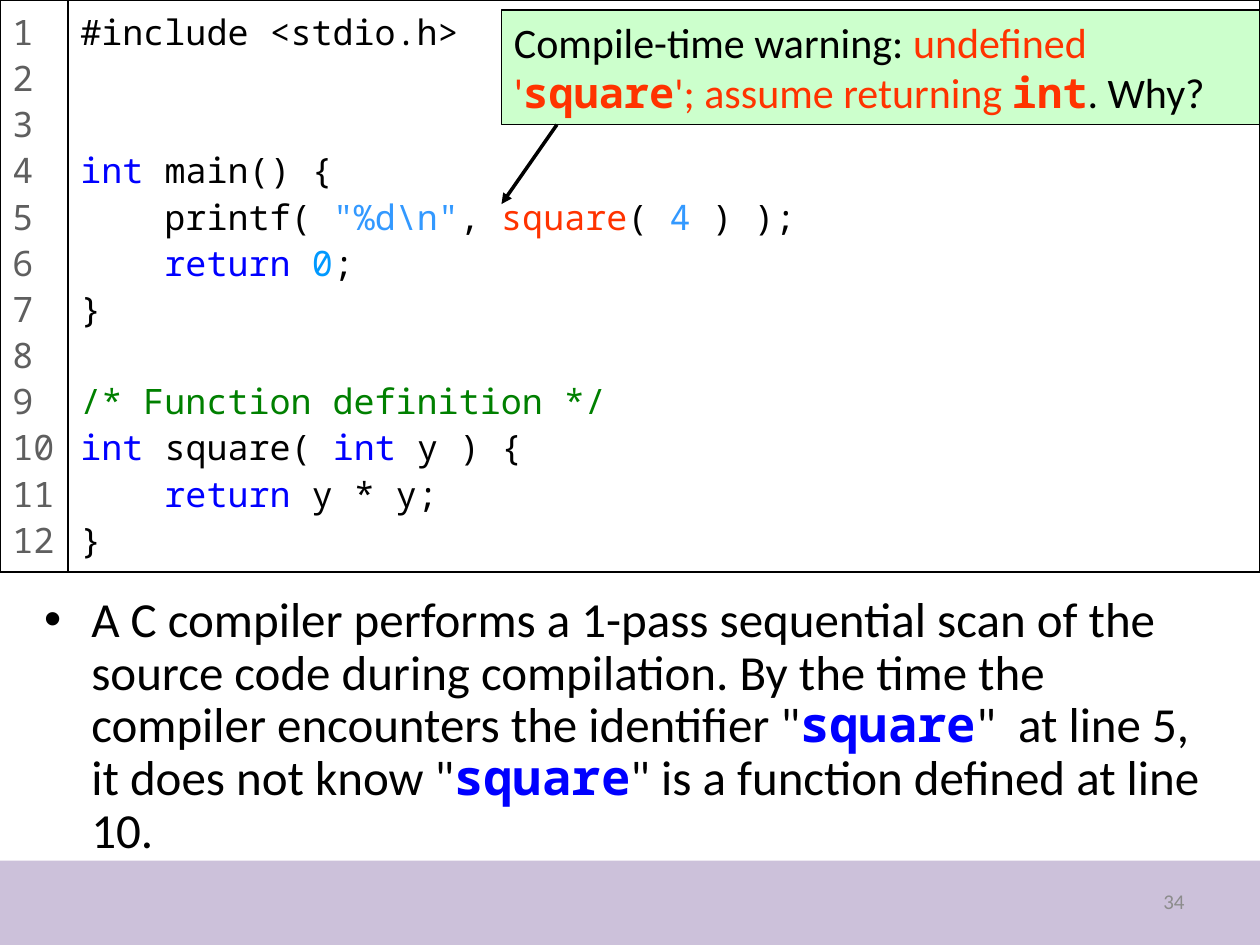
"""Build a slide on why a C compiler warns about a function used before it is defined."""
from dataclasses import dataclass

import pptx
import pptx.dml.color
import pptx.enum.shapes
import pptx.enum.text
import pptx.oxml
import pptx.util
from pptx.util import Inches


@dataclass(frozen=True)
class Theme:
    sans: str = "Calibri"
    mono: str = "Noto Sans Mono"
    black: str = "000000"
    white: str = "FFFFFF"
    band: str = "CCC1DA"
    callout: str = "CCFFCC"
    page_number: str = "8C8C8C"
    line_number: str = "5F5F5F"
    keyword: str = "0000FF"
    literal: str = "3399FF"
    zero: str = "0099FF"
    comment: str = "008000"
    warning: str = "FF3300"
    code_size: int = 20
    callout_size: int = 24
    body_size: int = 28
    page_size: int = 12


theme = Theme()


def add_box(page, left, top, width, height, fill, line=None):
    box = page.shapes.add_shape(
        pptx.enum.shapes.MSO_SHAPE.RECTANGLE,
        Inches(left), Inches(top), Inches(width), Inches(height))
    box.shadow.inherit = False
    box.fill.solid()
    box.fill.fore_color.rgb = pptx.dml.color.RGBColor.from_string(fill)
    if line:
        box.line.color.rgb = pptx.dml.color.RGBColor.from_string(line)
        box.line.width = pptx.util.Pt(0.75)
    else:
        box.line.fill.background()
    box.text_frame.word_wrap = True
    box.text_frame.vertical_anchor = pptx.enum.text.MSO_ANCHOR.TOP
    return box


def write_spans(para, size, spans, spacing=None, align=pptx.enum.text.PP_ALIGN.LEFT):
    para.font.size = pptx.util.Pt(size)
    para.alignment = align
    para.line_spacing = spacing
    for text, colour, font in spans:
        span = para.add_run()
        span.text = text
        span.font.name = font
        span.font.bold = font == theme.mono and size > theme.code_size
        span.font.color.rgb = pptx.dml.color.RGBColor.from_string(colour)


deck = pptx.Presentation()
deck.slide_width, deck.slide_height = Inches(10), Inches(7.5)
page = deck.slides.add_slide(deck.slide_layouts.get_by_name("Title and Content"))
title = page.shapes.title
title.element.getparent().remove(title.element)

add_box(page, 0, 6.83, 10, 0.67, theme.band)

number = page.shapes.add_textbox(Inches(7.17), Inches(6.95), Inches(2.33), Inches(0.4))
number.text_frame.word_wrap = True
number.text_frame.vertical_anchor = pptx.enum.text.MSO_ANCHOR.MIDDLE
write_spans(number.text_frame.paragraphs[0], theme.page_size,
            [("34", theme.page_number, theme.sans)],
            align=pptx.enum.text.PP_ALIGN.RIGHT)

body = page.placeholders[1]
body.left, body.top, body.width, body.height = (
    Inches(0.25), Inches(4.67), Inches(9.5), Inches(1.92))
body.text_frame.auto_size = pptx.enum.text.MSO_AUTO_SIZE.NONE
write_spans(body.text_frame.paragraphs[0], theme.body_size, [
    ("A C compiler performs a 1-pass sequential scan of the source code during "
     "compilation. By the time the compiler encounters the identifier \"",
     theme.black, theme.sans),
    ("square", theme.keyword, theme.mono),
    ("\"  at line 5, it does not know \"", theme.black, theme.sans),
    ("square", theme.keyword, theme.mono),
    ("\" is a function defined at line 10.", theme.black, theme.sans),
], spacing=0.9)

code_lines = [
    [("#include <stdio.h>", theme.black)],
    [],
    [],
    [("int", theme.keyword), (" main() {", theme.black)],
    [("    printf( ", theme.black), ("\"%d\\n\"", theme.literal), (", ", theme.black),
     ("square", theme.warning), ("( ", theme.black), ("4", theme.literal),
     (" ) );", theme.black)],
    [("    return ", theme.keyword), ("0", theme.zero), (";", theme.black)],
    [("}", theme.black)],
    [],
    [("/* Function definition */", theme.comment)],
    [("int", theme.keyword), (" square( ", theme.black), ("int", theme.keyword),
     (" y ) {", theme.black)],
    [("    return", theme.keyword), (" y * y;", theme.black)],
    [("}", theme.black)],
]
line_numbers = [[(str(index), theme.line_number)]
                for index in range(1, len(code_lines) + 1)]

for left, width, lines in ((0.54, 9.46, code_lines), (0, 0.54, line_numbers)):
    frame = add_box(page, left, 0, width, 4.54, theme.white, theme.black).text_frame
    for index, line in enumerate(lines):
        para = frame.add_paragraph() if index else frame.paragraphs[0]
        para.font.name = theme.mono
        write_spans(para, theme.code_size,
                    [(text, colour, theme.mono) for text, colour in line], spacing=1.1)

callout = add_box(page, 3.98, 0.08, 6.02, 0.91, theme.callout, theme.black)
write_spans(callout.text_frame.paragraphs[0], theme.callout_size, [
    ("Compile-time warning: ", theme.black, theme.sans),
    ("undefined '", theme.warning, theme.sans),
    ("square", theme.warning, theme.mono),
    ("'; assume returning ", theme.warning, theme.sans),
    ("int", theme.warning, theme.mono),
    (". Why?", theme.black, theme.sans),
])

arrow = page.shapes.add_connector(
    pptx.enum.shapes.MSO_CONNECTOR.STRAIGHT,
    Inches(4.42), Inches(0.99), Inches(3.98), Inches(1.62))
arrow.line.color.rgb = pptx.dml.color.RGBColor.from_string(theme.black)
arrow.line.width = pptx.util.Pt(2)
namespace = 'xmlns:a="http://schemas.openxmlformats.org/drawingml/2006/main"'
arrow.line._get_or_add_ln().append(
    pptx.oxml.parse_xml(f'<a:tailEnd {namespace} type="triangle"/>'))
arrow.element.spPr.append(pptx.oxml.parse_xml(f"<a:effectLst {namespace}/>"))

deck.save("out.pptx")
